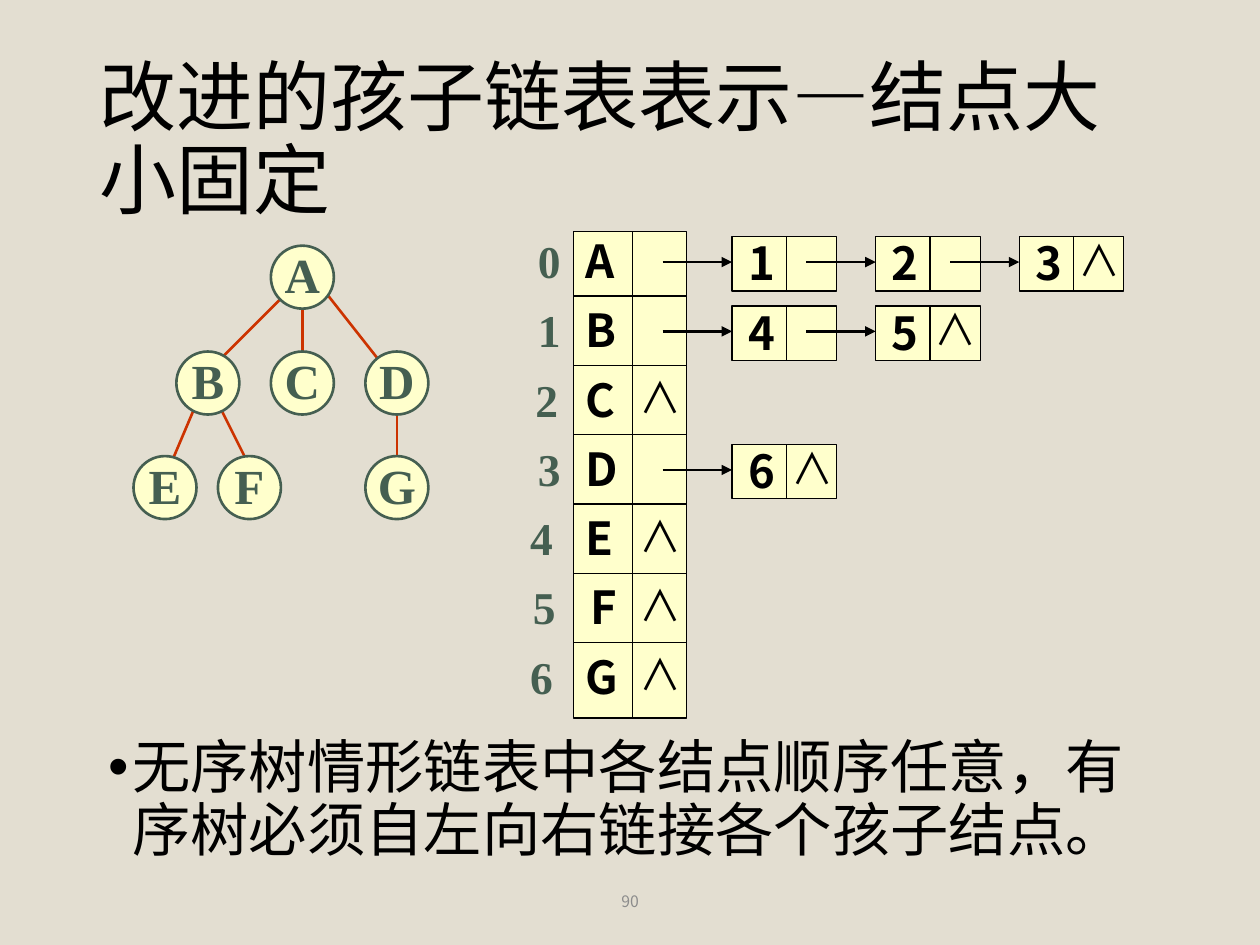
import pptx
import pptx.util
import pptx.dml.color
import pptx.enum.shapes
import pptx.enum.text
import pptx.oxml.ns
import lxml.etree

Inches = pptx.util.Inches
SHAPE = pptx.enum.shapes.MSO_SHAPE
ALIGN = pptx.enum.text.PP_ALIGN
ANCHOR = pptx.enum.text.MSO_ANCHOR
SANS = "Noto Sans CJK SC"
SERIF = "Times New Roman"
BLACK, GREEN, RED, CREAM = "000000", "455F51", "CC3300", "FFFFCC"
NIL = "∧"
ROW_TOP, ROW_STEP = 1.8, 0.55


def color(fill, code):
    if hasattr(fill, "solid"):
        fill.solid()
        fill = fill.fore_color
    fill.rgb = pptx.dml.color.RGBColor.from_string(code)


def child(parent, tag, **attrs):
    return lxml.etree.SubElement(parent, pptx.oxml.ns.qn(tag), **attrs)


def text(slide, words, x, y, w, h, size=26, face=SANS, code=BLACK, bold=False,
         align=ALIGN.LEFT, anchor=ANCHOR.TOP, wrap=False, lead=None, bullet=None):
    box = slide.shapes.add_textbox(Inches(x), Inches(y), Inches(w), Inches(h))
    frame = box.text_frame
    frame.word_wrap = wrap
    frame.vertical_anchor = anchor
    para = frame.paragraphs[0]
    para.alignment = align
    if lead:
        para.line_spacing = lead
    if bullet:
        props = para._p.get_or_add_pPr()
        props.set("marL", str(Inches(0.19)))
        props.set("indent", str(Inches(-0.19)))
        child(props, "a:buFont", typeface="Arial")
        child(props, "a:buChar", char=bullet)
    run = para.add_run()
    run.text = words
    font = run.font
    font.size = pptx.util.Pt(size)
    font.bold = bold
    font.name = face
    color(font.fill, code)
    child(run._r.get_or_add_rPr(), "a:ea", typeface=face)


def shape(slide, kind, x, y, w, h, code, width):
    item = slide.shapes.add_shape(kind, Inches(x), Inches(y), Inches(w), Inches(h))
    item.shadow.inherit = False
    color(item.fill, CREAM)
    color(item.line.fill, code)
    item.line.width = pptx.util.Pt(width)


def line(slide, x1, y1, x2, y2, code=BLACK, width=0.75, arrow=False):
    item = slide.shapes.add_connector(
        pptx.enum.shapes.MSO_CONNECTOR.STRAIGHT,
        Inches(x1), Inches(y1), Inches(x2), Inches(y2))
    color(item.line.fill, code)
    item.line.width = pptx.util.Pt(width)
    if arrow:
        child(item.line._get_or_add_ln(), "a:tailEnd", type="triangle")
    child(item._element.spPr, "a:effectLst")


def tree(slide):
    edges = [(3.15, 3.2, 3.15, 3.79), (2.56, 2.29, 3.15, 3.04),
             (1.73, 3.2, 1.98, 3.7), (1.56, 3.2, 1.31, 3.79),
             (2.23, 2.37, 1.73, 2.87), (2.4, 2.37, 2.4, 2.87)]
    for edge in edges:
        line(slide, *edge, code=RED, width=1.5)
    nodes = {"A": (2.15, 1.95), "B": (1.4, 2.79), "C": (2.15, 2.79),
             "D": (2.9, 2.79), "E": (1.06, 3.62), "F": (1.73, 3.62),
             "G": (2.9, 3.62)}
    for name, (x, y) in nodes.items():
        shape(slide, SHAPE.OVAL, x, y, 0.5, 0.5, GREEN, 1.5)
        text(slide, name, x, y - 0.06, 0.5, 0.57, size=28, face=SERIF,
             code=GREEN, bold=True, align=ALIGN.CENTER, anchor=ANCHOR.MIDDLE)


def nil(slide, x, y):
    text(slide, NIL, x, y, 0.53, 0.5, size=24)


def chain(slide, kids, row):
    top = row + 0.08
    for i, kid in enumerate(kids):
        x = 5.81 + 1.14 * i
        shape(slide, SHAPE.RECTANGLE, x, top, 0.83, 0.43, BLACK, 0.75)
        line(slide, x + 0.43, top, x + 0.43, top + 0.43)
        text(slide, kid, x + 0.03, top - 0.06, 0.4, 0.53, bold=True)
    for i in range(len(kids)):
        x = 5.81 + 1.14 * i
        line(slide, x - 0.55, top + 0.2, x, top + 0.2, width=1.5, arrow=True)
    nil(slide, x + 0.37, top - 0.07)


def table(slide):
    shape(slide, SHAPE.RECTANGLE, 4.55, 1.84, 0.9, 3.86, BLACK, 0.75)
    line(slide, 5.02, 1.84, 5.02, 5.7)
    rows = [("A", "123", 4.17), ("B", "45", 4.17), ("C", "", 4.15),
            ("D", "6", 4.17), ("E", "", 4.11), ("F", "", 4.13), ("G", "", 4.11)]
    for i, (name, kids, left) in enumerate(rows):
        y = ROW_TOP + ROW_STEP * i
        if i:
            line(slide, 4.55, y, 5.45, y)
        text(slide, str(i), left, y, 0.38, 0.53, face=SERIF, code=GREEN, bold=True)
        text(slide, name, 4.59 if name == "F" else 4.55, y, 0.46, 0.53,
             bold=True, wrap=True)
        if kids:
            chain(slide, kids, y)
        else:
            nil(slide, 4.98, y)


def main():
    deck = pptx.Presentation()
    deck.slide_width, deck.slide_height = Inches(10), Inches(7.5)
    slide = deck.slides.add_slide(deck.slide_layouts[6])
    color(slide.background.fill, "E3DED1")
    text(slide, "改进的孩子链表表示—结点大小固定", 0.69, 0.4, 8.62, 1.45,
         size=44, anchor=ANCHOR.MIDDLE, wrap=True, lead=0.9)
    text(slide, "无序树情形链表中各结点顺序任意，有序树必须自左向右链接各个孩子结点。",
         0.76, 5.81, 8.62, 1.13, size=33.3, wrap=True, lead=0.9, bullet="•")
    text(slide, "90", 3.31, 6.95, 3.38, 0.4, size=9, code="8C8C8C",
         align=ALIGN.CENTER, anchor=ANCHOR.MIDDLE, wrap=True)
    tree(slide)
    table(slide)
    deck.save("out.pptx")


if __name__ == "__main__":
    main()
